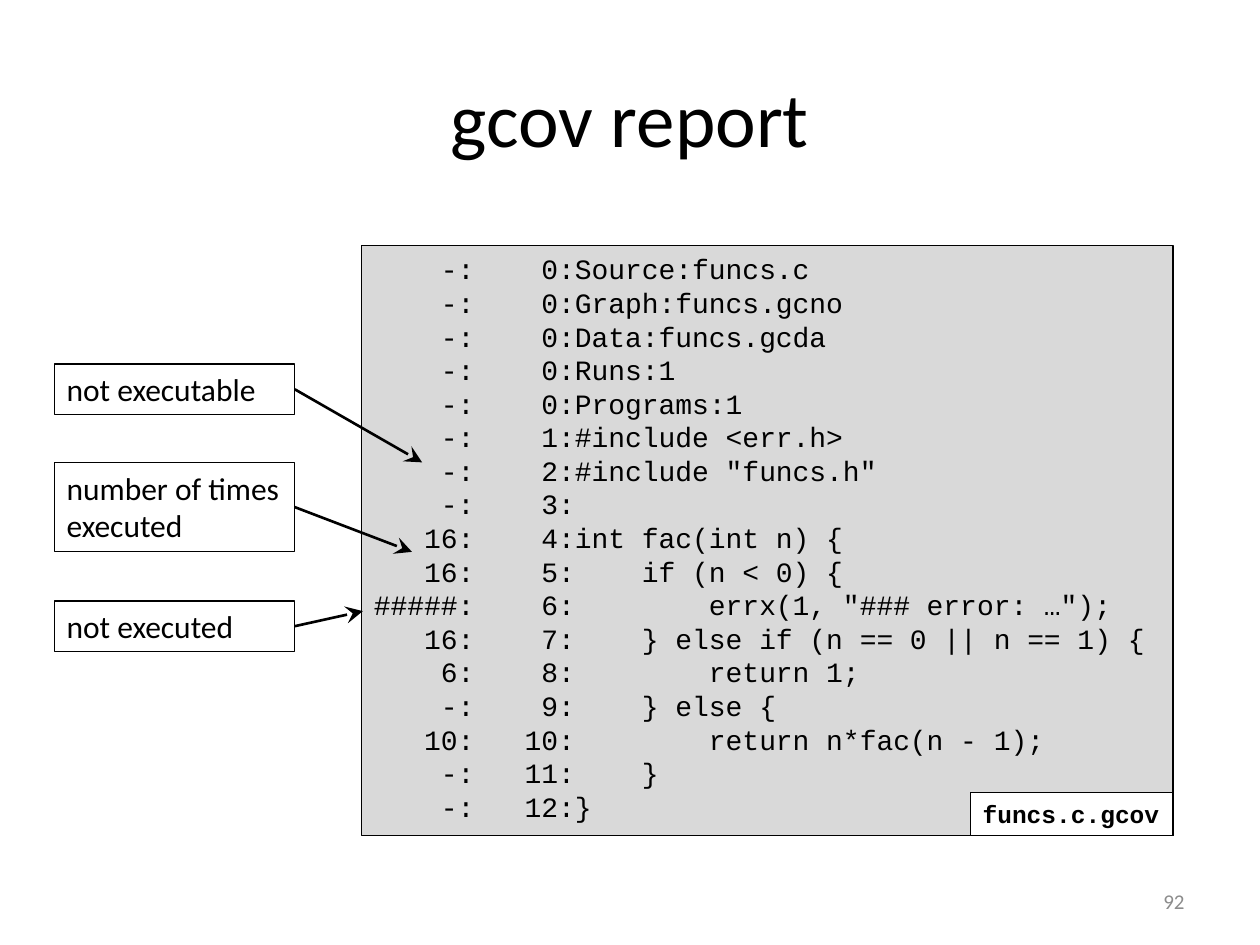
import pptx
import pptx.util
from lxml import etree
from pptx.dml.color import RGBColor
from pptx.enum.shapes import MSO_CONNECTOR, MSO_SHAPE
from pptx.enum.text import MSO_ANCHOR, MSO_AUTO_SIZE, PP_ALIGN
from pptx.oxml.ns import qn

BLACK = RGBColor(0x00, 0x00, 0x00)
WHITE = RGBColor(0xFF, 0xFF, 0xFF)
PANEL = RGBColor(0xD9, 0xD9, 0xD9)
MUTED = RGBColor(0x8C, 0x8C, 0x8C)
SANS, MONO = "Calibri", "Courier New"
COLUMNS, ROWS = 100, 75

# Execution count, line number, source text
REPORT = [
    ("-", 0, "Source:funcs.c"),
    ("-", 0, "Graph:funcs.gcno"),
    ("-", 0, "Data:funcs.gcda"),
    ("-", 0, "Runs:1"),
    ("-", 0, "Programs:1"),
    ("-", 1, "#include <err.h>"),
    ("-", 2, '#include "funcs.h"'),
    ("-", 3, ""),
    ("16", 4, "int fac(int n) {"),
    ("16", 5, "    if (n < 0) {"),
    ("#####", 6, '        errx(1, "### error: …");'),
    ("16", 7, "    } else if (n == 0 || n == 1) {"),
    ("6", 8, "        return 1;"),
    ("-", 9, "    } else {"),
    ("10", 10, "        return n*fac(n - 1);"),
    ("-", 11, "    }"),
    ("-", 12, "}"),
]

# Label lines, top row, height, arrow tip, alignment
CALLOUTS = [
    (["not executable"], 28.9, 4, (33.5, 36.7), PP_ALIGN.LEFT),
    (["number of times", "executed"], 36.7, 7.1, (32.7, 43.8), PP_ALIGN.LEFT),
    (["not executed"], 47.7, 4, (28.8, 48.5), PP_ALIGN.JUSTIFY),
]


class Deck:
    """Holds the presentation, its current slide and the drawing style."""

    def __init__(self):
        self.prs = pptx.Presentation()
        self.prs.slide_width = pptx.util.Inches(10)
        self.prs.slide_height = pptx.util.Inches(7.5)
        self.s = self.prs.slides.add_slide(self.prs.slide_layouts[5])

    def x(self, columns):
        return round(self.prs.slide_width * columns / COLUMNS)

    def y(self, rows):
        return round(self.prs.slide_height * rows / ROWS)

    def area(self, left, top, width, height):
        return self.x(left), self.y(top), self.x(width), self.y(height)

    def set_text(self, sp, lines, size, font=SANS, color=BLACK, bold=False,
                 align=PP_ALIGN.LEFT, anchor=MSO_ANCHOR.TOP, wrap=True):
        tf = sp.text_frame
        tf.word_wrap = wrap
        tf.auto_size = MSO_AUTO_SIZE.NONE
        tf.vertical_anchor = anchor
        tf.text = "\n".join(lines)
        for p in tf.paragraphs:
            p.alignment = align
            p.font.name = font
            p.font.size = pptx.util.Pt(size)
            p.font.bold = bold
            p.font.color.rgb = color

    def title(self, text, area):
        sp = self.s.shapes.title
        sp.left, sp.top, sp.width, sp.height = self.area(*area)
        self.set_text(sp, [text], 44, align=PP_ALIGN.CENTER,
                      anchor=MSO_ANCHOR.MIDDLE)

    def text(self, text, area, size, **style):
        sp = self.s.shapes.add_textbox(*self.area(*area))
        self.set_text(sp, [text], size, **style)

    def box(self, lines, area, size, fill=WHITE, **style):
        sp = self.s.shapes.add_shape(MSO_SHAPE.RECTANGLE, *self.area(*area))
        sp.shadow.inherit = False
        sp.fill.solid()
        sp.fill.fore_color.rgb = fill
        sp.line.color.rgb = BLACK
        sp.line.width = pptx.util.Pt(0.75)
        self.set_text(sp, lines, size, **style)
        return sp

    def arrow(self, source, tip):
        """Draw an arrow from the right side of source to tip."""
        end = self.x(tip[0]), self.y(tip[1])
        line = self.s.shapes.add_connector(MSO_CONNECTOR.STRAIGHT, 0, 0, *end)
        line.begin_connect(source, 3)
        line.line.color.rgb = BLACK
        line.line.width = pptx.util.Pt(1.5)
        props = line._element.spPr
        etree.SubElement(props.get_or_add_ln(), qn("a:tailEnd"),
                         type="stealth", w="lg", len="lg")
        etree.SubElement(props, qn("a:effectLst"))


def main():
    deck = Deck()
    deck.title("gcov report", (5, 3, 90, 12.5))

    # Coverage report with its file name in the corner
    report = [f"{count:>5}:{number:>5}:{code}".rjust(0)
              for count, number, code in REPORT]
    deck.box(report, (28.7, 19.5, 64.4, 46.8), 16, fill=PANEL, font=MONO)
    deck.box(["funcs.c.gcov"], (77, 62.9, 16.1, 3.4), 14, font=MONO,
             bold=True, wrap=False)

    # Callouts
    for lines, top, height, tip, align in CALLOUTS:
        label = deck.box(lines, (4.3, top, 19.1, height), 18, align=align)
        deck.arrow(label, tip)

    # Slide number
    deck.text("92", (71.7, 69.5, 23.3, 4), 12, color=MUTED,
              align=PP_ALIGN.RIGHT, anchor=MSO_ANCHOR.MIDDLE)

    deck.prs.save("out.pptx")


if __name__ == "__main__":
    main()
